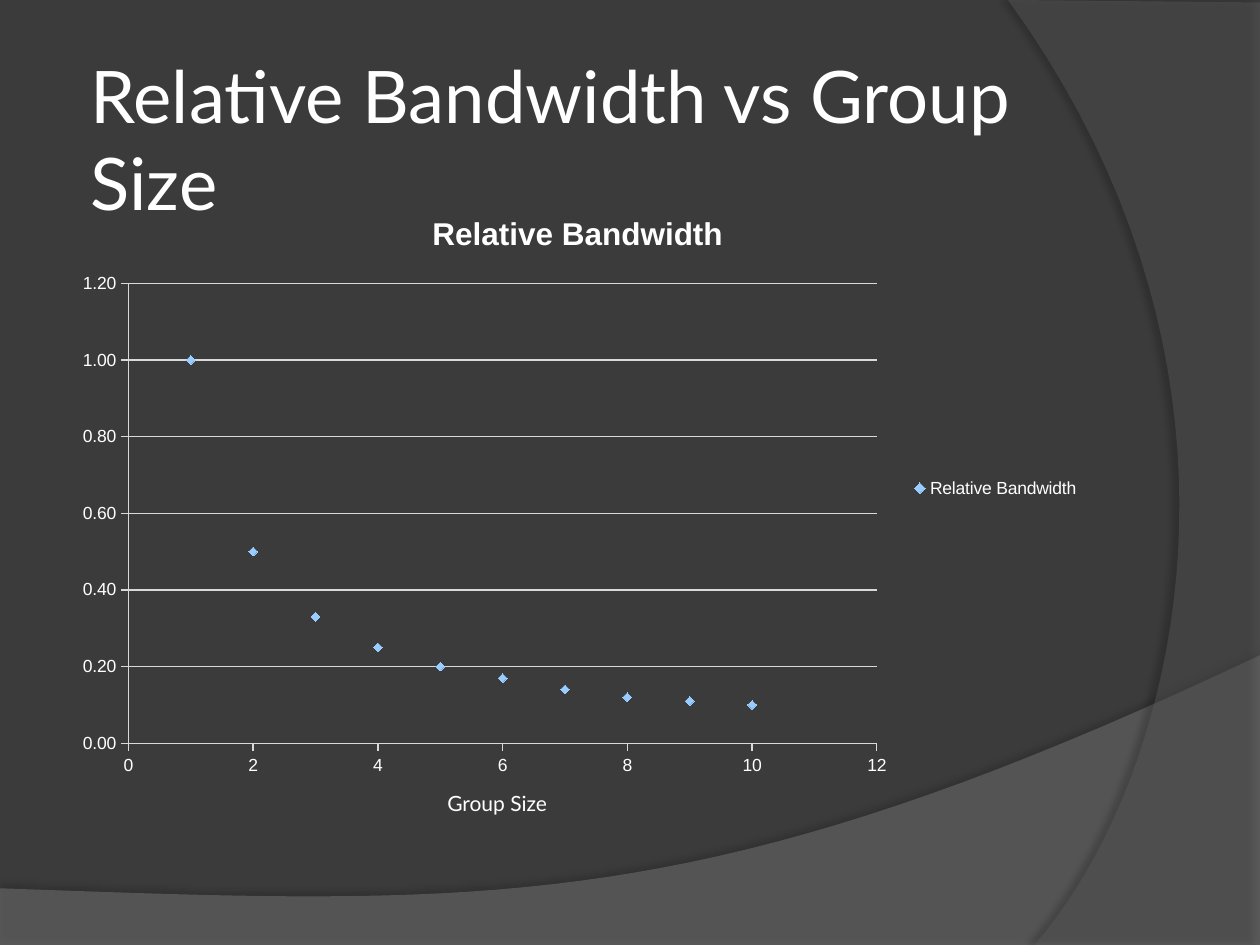
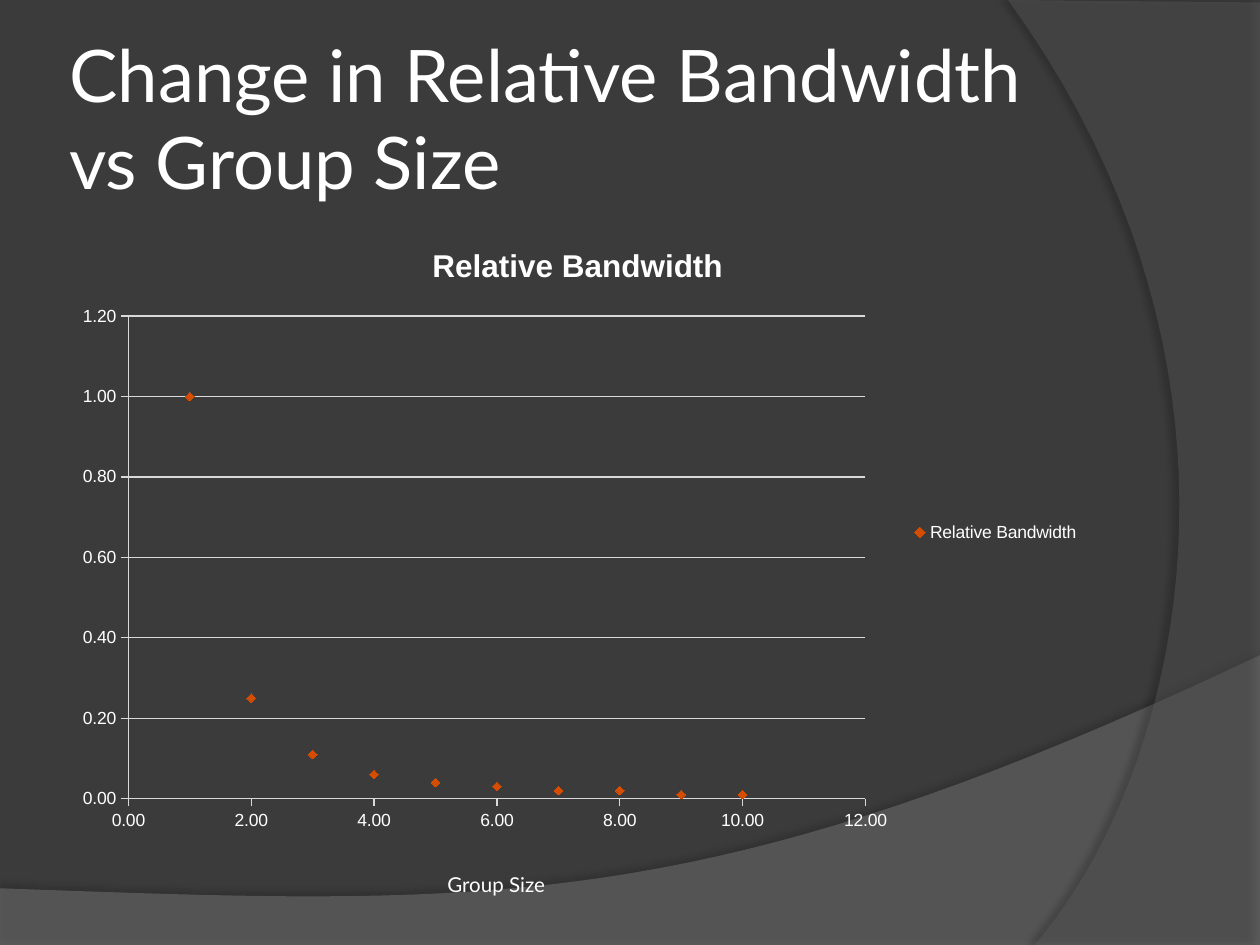
from lxml import etree
from pptx import Presentation
from pptx import util as u
from pptx.chart.data import XyChartData
from pptx.dml.color import RGBColor
from pptx.enum import chart as ch
from pptx.enum import text as t
from pptx.oxml import ns

PX = 9144
SIZE = (1000, 750)
COLORS = {
    "back": "3B3B3B", "text": "FFFFFF", "rule": "D9D9D9",
    "hill": "7F7F7F", "arc": "5E5E5E", "shadow": "000000",
    "blue": "99CCFF", "orange": "D64C00",
}
HEAD_FONT, CHART_FONT = "Lato", "Arial"
SERIES = "Relative Bandwidth"
GROUP_SIZES = range(1, 11)

SWOOSHES = [
    dict(start=(0, 705), before=[(0, 751), (1000, 751), (1000, 520)],
         curve=[(559, 729), (391, 719), (0, 705)],
         color="hill", opacity=45, shade=35, distance=3.5, angle=270),
    dict(start=(1000, 2), before=[(1000, 750), (821, 750)],
         curve=[(935, 619), (1018, 300), (800, 0)],
         color="arc", opacity=40, shade=45, distance=4, angle=180),
]

SLIDES = [
    dict(title="Relative Bandwidth vs Group Size", title_at=(67, 47, 817, 125),
         chart_at=(50, 150, 817, 475), plot_at=(102, 225, 594, 365),
         label_at=(350, 608, 267, 58), label_size=12,
         x_format="General", color="blue",
         values=[1, 0.5, 0.33, 0.25, 0.2, 0.17, 0.14, 0.12, 0.11, 0.1]),
    dict(title="Change in Relative Bandwidth vs Group Size", title_at=(50, 30, 817, 125),
         chart_at=(50, 175, 817, 495), plot_at=(102, 251, 585, 383),
         label_at=(350, 683, 358, 38), label_size=11.7,
         x_format="0.00", color="orange",
         values=[1, 0.25, 0.11, 0.06, 0.04, 0.03, 0.02, 0.02, 0.01, 0.01]),
]


def rgb(name):
    return RGBColor.from_string(COLORS[name])


def emu(lengths):
    return [round(length * PX) for length in lengths]


def style_font(font, size, name=CHART_FONT, bold=False):
    font.size, font.name, font.bold = u.Pt(size), name, bold
    font.color.rgb = rgb("text")


def add_text(page, words, at, size):
    box = page.shapes.add_textbox(*emu(at))
    frame = box.text_frame
    frame.word_wrap = True
    frame.vertical_anchor = t.MSO_ANCHOR.MIDDLE
    frame.margin_left = frame.margin_right = 5 * PX
    frame.margin_top = frame.margin_bottom = 5 * PX
    span = frame.paragraphs[0].add_run()
    span.text = words
    style_font(span.font, size, HEAD_FONT)


def bezier(points, steps=40):
    for step in range(1, steps + 1):
        k = step / steps
        weights = ((1 - k) ** 3, 3 * k * (1 - k) ** 2, 3 * k * k * (1 - k), k ** 3)
        yield tuple(sum(w * p[axis] for w, p in zip(weights, points)) for axis in (0, 1))


def add_xml(parent, tag, **attributes):
    names = {key: str(value) for key, value in attributes.items()}
    return etree.SubElement(parent, ns.qn(tag), names)


def add_swoosh(page, start, before, curve, color, opacity, shade, distance, angle):
    outline = before + list(bezier([before[-1]] + curve))
    builder = page.shapes.build_freeform(*emu(start))
    builder.add_line_segments([emu(point) for point in outline], close=True)
    shape = builder.convert_to_shape()
    shape.shadow.inherit = False
    shape.fill.solid()
    shape.fill.fore_color.rgb = rgb(color)
    shape.line.fill.background()
    properties = shape.element.spPr
    fill = properties.find(ns.qn("a:solidFill"))
    add_xml(fill[0], "a:alpha", val=opacity * 1000)
    effects = properties.find(ns.qn("a:effectLst"))
    shadow = add_xml(effects, "a:outerShdw", blurRad=u.Pt(4), dist=u.Pt(distance),
                     dir=angle * 60000, algn="ctr", rotWithShape=0)
    tint = add_xml(shadow, "a:srgbClr", val=COLORS["shadow"])
    add_xml(tint, "a:alpha", val=shade * 1000)


def style_axis(axis, top, step, number_format, grid):
    axis.minimum_scale, axis.maximum_scale, axis.major_unit = 0, top, step
    axis.major_tick_mark = ch.XL_TICK_MARK.OUTSIDE
    axis.minor_tick_mark = ch.XL_TICK_MARK.NONE
    axis.has_major_gridlines = grid
    axis.tick_labels.number_format = number_format
    axis.tick_labels.number_format_is_linked = False
    lines = [axis.format.line]
    if grid:
        lines.append(axis.major_gridlines.format.line)
    for line in lines:
        line.color.rgb = rgb("rule")
        line.width = u.Pt(0.75)


def place_plot(chart, chart_at, plot_at):
    area = chart.element.find(".//" + ns.qn("c:plotArea"))
    for old in area.findall(ns.qn("c:layout")):
        area.remove(old)
    layout = etree.Element(ns.qn("c:layout"))
    area.insert(0, layout)
    manual = add_xml(layout, "c:manualLayout")
    add_xml(manual, "c:layoutTarget", val="inner")
    add_xml(manual, "c:xMode", val="edge")
    add_xml(manual, "c:yMode", val="edge")
    left, top, width, height = chart_at
    x, y, w, h = plot_at
    shares = ((x - left) / width, (y - top) / height, w / width, h / height)
    for key, share in zip("xywh", shares):
        add_xml(manual, "c:" + key, val=round(share, 4))


def add_scatter(page, values, color, chart_at, plot_at, x_format):
    data = XyChartData()
    points = data.add_series(SERIES)
    for group_size, value in zip(GROUP_SIZES, values):
        points.add_data_point(group_size, value)
    chart = page.shapes.add_chart(ch.XL_CHART_TYPE.XY_SCATTER, *emu(chart_at), data).chart
    style_font(chart.font, 10)
    chart.has_title = True
    span = chart.chart_title.text_frame.paragraphs[0].add_run()
    span.text = SERIES
    style_font(span.font, 18, bold=True)
    chart.has_legend = True
    chart.legend.position = ch.XL_LEGEND_POSITION.RIGHT
    chart.legend.include_in_layout = False
    style_axis(chart.category_axis, 12, 2, x_format, False)
    style_axis(chart.value_axis, 1.2, 0.2, "0.00", True)
    plot = chart.plots[0]
    plot.vary_by_categories = False
    series = plot.series[0]
    series.format.line.fill.background()
    marker = series.marker
    marker.style, marker.size = ch.XL_MARKER_STYLE.DIAMOND, 5
    marker.format.fill.solid()
    marker.format.fill.fore_color.rgb = rgb(color)
    marker.format.line.color.rgb = rgb(color)
    place_plot(chart, chart_at, plot_at)


def main():
    deck = Presentation()
    deck.slide_width, deck.slide_height = emu(SIZE)
    backdrop = deck.slide_master.background.fill
    backdrop.solid()
    backdrop.fore_color.rgb = rgb("back")
    for item in SLIDES:
        page = deck.slides.add_slide(deck.slide_layouts[6])
        for swoosh in SWOOSHES:
            add_swoosh(page, **swoosh)
        add_scatter(page, item["values"], item["color"], item["chart_at"],
                    item["plot_at"], item["x_format"])
        add_text(page, item["title"], item["title_at"], 41.4)
        add_text(page, "Group Size", item["label_at"], item["label_size"])
    deck.save("out.pptx")


if __name__ == "__main__":
    main()
